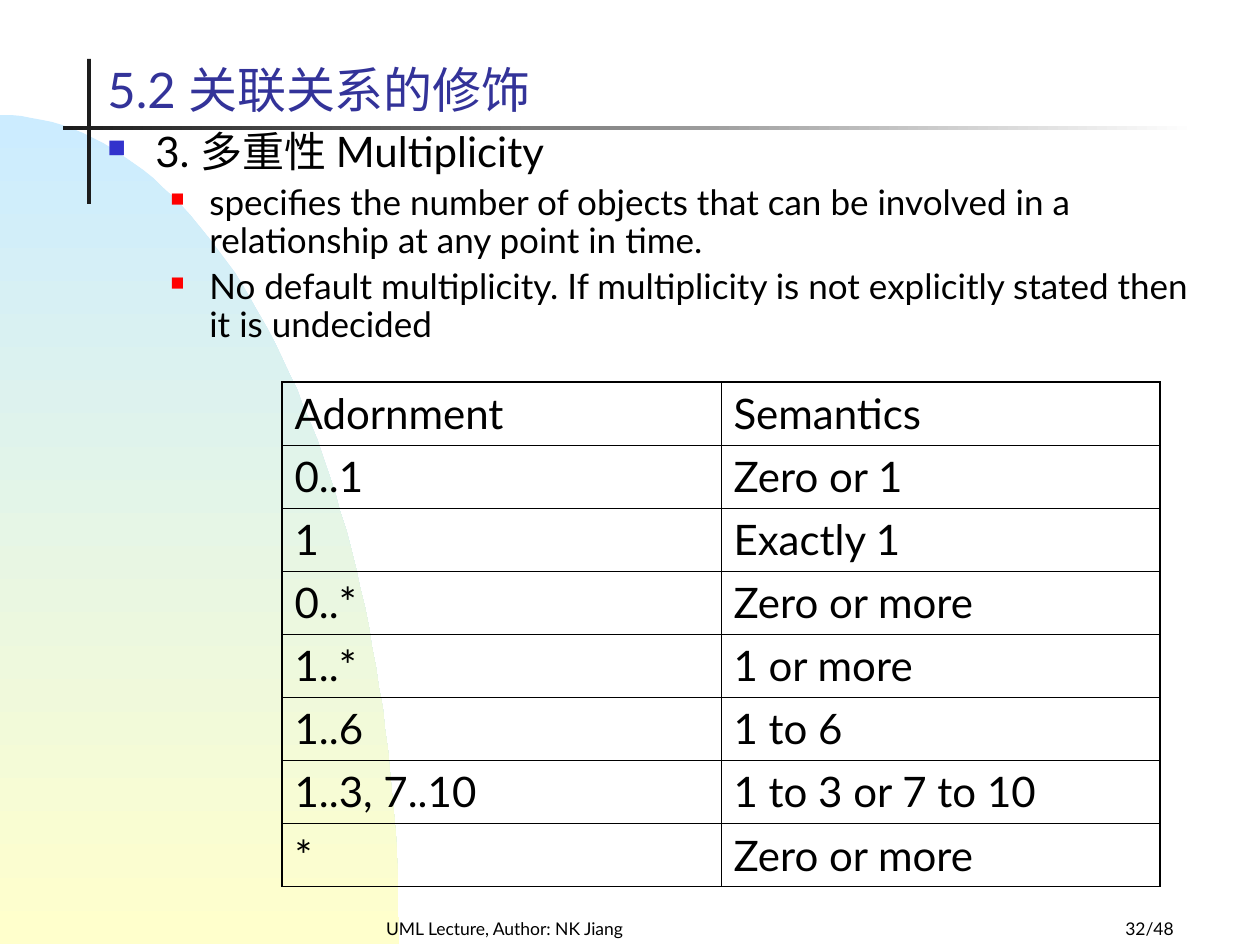
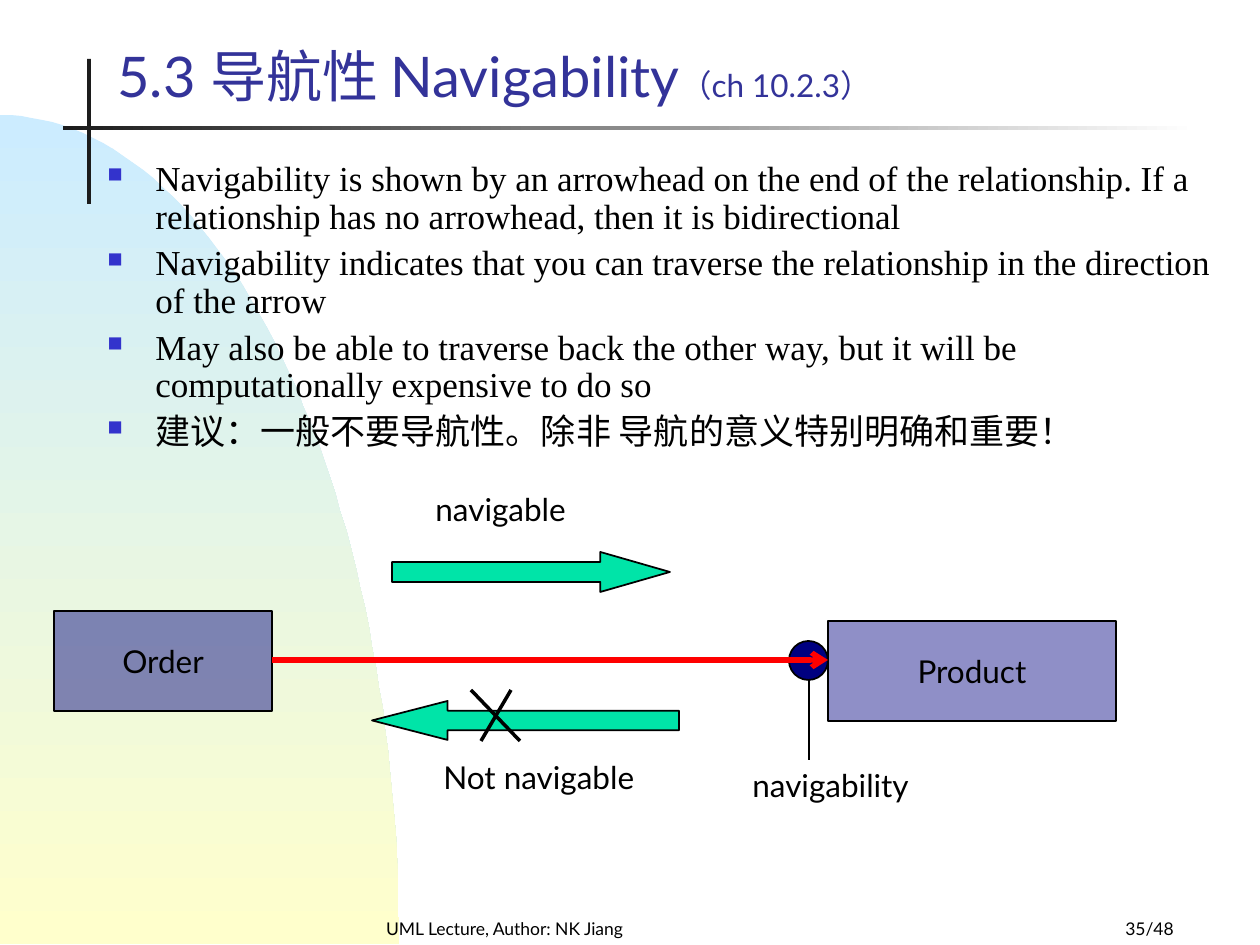
from math import cos, pi, sin

from lxml import etree
from pptx import Presentation
from pptx import util as u
from pptx.dml.color import RGBColor
from pptx.enum import shapes, text
from pptx.oxml.ns import qn

# Shared look
LATO, TIMES = "Lato", "Times New Roman"
BLACK = RGBColor(0, 0, 0)
INK = RGBColor(0x1C, 0x1C, 0x1C)
WHITE = RGBColor(255, 255, 255)
TITLE_BLUE = RGBColor(0x33, 0x33, 0x99)
BULLET_BLUE = RGBColor(0x33, 0x33, 0xCC)
RED = RGBColor(255, 0, 0)
SKY = RGBColor(0xCC, 0xEC, 0xFF)
CREAM = RGBColor(255, 255, 0xCC)
NAVY = RGBColor(0, 0, 0x80)
MINT = RGBColor(0, 0xE4, 0xA8)
SCALE = 914400 / 126
WIDTH, HEIGHT = 1260, 945
FOOTER = "UML Lecture, Author: NK Jiang"
# Outline level: left margin, hanging indent, bullet colour, bullet size in percent
LEVELS = [(48, 48, BULLET_BLUE, 60), (102, 39, RED, 55)]

# Content: multiplicity
MULTIPLICITY_TITLE = [("5.2 关联关系的修饰", 28)]
MULTIPLICITY_POINTS = [
    (0, 24, "3. 多重性 Multiplicity"),
    (1, 20, "specifies the number of objects that can be involved in a "
            "relationship at any point in time."),
    (1, 20, "No default multiplicity. If multiplicity is not explicitly stated "
            "then it is undecided"),
]
ADORNMENTS = [
    ("Adornment", "Semantics"),
    ("0..1", "Zero or 1"),
    ("1", "Exactly 1"),
    ("0..*", "Zero or more"),
    ("1..*", "1 or more"),
    ("1..6", "1 to 6"),
    ("1..3, 7..10", "1 to 3 or 7 to 10"),
    ("*", "Zero or more"),
]

# Content: navigability
NAVIGABILITY_TITLE = [("5.3 导航性 Navigability", 32), ("（ch 10.2.3）", 18)]
NAVIGABILITY_POINTS = [
    (0, 20, "Navigability is shown by an arrowhead on the end of the relationship. "
            "If a relationship has no arrowhead, then it is bidirectional"),
    (0, 20, "Navigability indicates that you can traverse the relationship in the "
            "direction of the arrow"),
    (0, 20, "May also be able to traverse back the other way, but it will be "
            "computationally expensive to do so"),
    (0, 20, "建议：一般不要导航性。除非 导航的意义特别明确和重要！"),
]
# Class name, box, opacity in percent
CLASSES = [("Order", (54, 611, 218, 100), 47), ("Product", (828, 621, 288, 100), 44)]
LABELS = [
    ("navigable", (423, 484, 169, 50)),
    ("Not navigable", (431, 752, 231, 50)),
    ("navigability", (740, 760, 218, 50)),
]
# Preset, box, head length relative to height
DIRECTIONS = [
    (shapes.MSO_SHAPE.RIGHT_ARROW, (392, 552, 278, 40), 1.74),
    (shapes.MSO_SHAPE.LEFT_ARROW, (372, 701, 307, 39), 1.94),
]
NAVIGABILITY_DOT = (789, 641, 39, 39)
# Start, end, colour, points, arrowhead
LINES = [
    ((272, 660), (828, 660), RED, 3, True),
    ((809, 680), (809, 760), BLACK, 1, False),
    ((511, 690), (481, 741), BLACK, 2, False),
    ((471, 690), (520, 741), BLACK, 2, False),
]


def px(*lengths):
    return [u.Emu(round(n * SCALE)) for n in lengths]


def add_xml(parent, tag, **attributes):
    return etree.SubElement(parent, qn(tag), attributes)


def write(frame, *runs, level=None, font=LATO, color=BLACK,
          align=text.PP_ALIGN.LEFT):
    """Add one paragraph made of (text, size) runs."""
    first = not frame.text
    paragraph = frame.paragraphs[0] if first else frame.add_paragraph()
    if level is not None:
        margin, hang, bullet_color, percent = LEVELS[level]
        props = paragraph._p.get_or_add_pPr()
        props.set("marL", str(px(margin)[0]))
        props.set("indent", str(px(-hang)[0]))
        add_xml(add_xml(props, "a:buClr"), "a:srgbClr", val=str(bullet_color))
        add_xml(props, "a:buSzPct", val=str(percent * 1000))
        add_xml(props, "a:buChar", char="■")
        paragraph.line_spacing = 0.9
        if not first:
            paragraph.space_before = u.Pt(5)
    paragraph.alignment = align
    for words, size in runs:
        run = paragraph.add_run()
        run.text = words
        run.font.name, run.font.size = font, u.Pt(size)
        run.font.color.rgb = color


def add_frame(slide, box, anchor=text.MSO_ANCHOR.TOP, wrap=True):
    frame = slide.shapes.add_textbox(*px(*box)).text_frame
    frame.word_wrap, frame.vertical_anchor = wrap, anchor
    return frame


def blend(shape, start, end, angle):
    shape.shadow.inherit = False
    shape.line.fill.background()
    shape.fill.gradient()
    shape.fill.gradient_angle = angle
    for stop, color in zip(shape.fill.gradient_stops, (start, end)):
        stop.color.rgb = color


def add_figure(slide, preset, box, color, outline=True):
    figure = slide.shapes.add_shape(preset, *px(*box))
    figure.shadow.inherit = False
    figure.fill.solid()
    figure.fill.fore_color.rgb = color
    if outline:
        figure.line.color.rgb, figure.line.width = BLACK, u.Pt(1)
    else:
        figure.line.fill.background()
    return figure


def add_line(slide, start, end, color, width, arrow):
    line = slide.shapes.add_connector(
        shapes.MSO_CONNECTOR.STRAIGHT, *px(*start, *end))
    line.line.color.rgb, line.line.width = color, u.Pt(width)
    if arrow:
        add_xml(line.line._get_or_add_ln(), "a:tailEnd", type="arrow")
    add_xml(line._element.spPr, "a:effectLst")


def add_base(deck, page):
    """Start a slide with the corner curve, title rules and footer."""
    slide = deck.slides.add_slide(deck.slide_layouts[6])
    left, top, bottom, radius, steps = 0, 115, 944, 399, 60
    curve = [(left + radius * sin(i * pi / 2 / steps),
              bottom - (bottom - top) * cos(i * pi / 2 / steps))
             for i in range(1, steps + 1)]
    corner = slide.shapes.build_freeform(left, top, scale=SCALE)
    corner.add_line_segments(curve + [(left, bottom)], close=True)
    blend(corner.convert_to_shape(), SKY, CREAM, 270)

    rectangle = shapes.MSO_SHAPE.RECTANGLE
    add_figure(slide, rectangle, (87, 59, 4, 145), INK, outline=False)
    blend(add_figure(slide, rectangle, (63, 126, 1134, 4), INK), INK, WHITE, 0)

    for words, box, align in [
            (FOOTER, (305, 903, 399, 42), text.PP_ALIGN.CENTER),
            (page, (924, 903, 262, 42), text.PP_ALIGN.RIGHT)]:
        write(add_frame(slide, box, text.MSO_ANCHOR.BOTTOM), (words, 10), align=align)
    return slide


def add_outline(slide, title, title_box, points, points_box, font):
    write(add_frame(slide, title_box, text.MSO_ANCHOR.BOTTOM), *title, color=TITLE_BLUE)
    body = add_frame(slide, points_box)
    for level, size, words in points:
        write(body, (words, size), level=level, font=font)


def add_grid(slide, rows, left, top, column_width, row_height):
    row_count, column_count = len(rows), len(rows[0])
    table = slide.shapes.add_table(row_count, column_count, *px(
        left, top, column_width * column_count, row_height * row_count)).table
    table.first_row = table.horz_banding = False
    for r, row in enumerate(rows):
        for c, words in enumerate(row):
            cell = table.cell(r, c)
            cell.fill.background()
            write(cell.text_frame, (words, 24))
            # Heavier lines on the outer edge
            outer = {"L": c == 0, "R": c == column_count - 1,
                     "T": r == 0, "B": r == row_count - 1}
            props = cell._tc.get_or_add_tcPr()
            for i, (side, heavy) in enumerate(outer.items()):
                border = add_xml(props, f"a:ln{side}",
                                 w=str(u.Pt(1.08 if heavy else 0.45)))
                add_xml(add_xml(border, "a:solidFill"), "a:srgbClr", val=str(BLACK))
                props.insert(i, border)


def build_multiplicity(deck):
    slide = add_base(deck, "32/48")
    add_outline(slide, MULTIPLICITY_TITLE, (95, 45, 735, 80),
                MULTIPLICITY_POINTS, (95, 125, 1111, 278), LATO)
    add_grid(slide, ADORNMENTS, 282, 382, 439, 63)


def build_navigability(deck):
    slide = add_base(deck, "35/48")
    add_figure(slide, shapes.MSO_SHAPE.OVAL, NAVIGABILITY_DOT, NAVY)
    add_outline(slide, NAVIGABILITY_TITLE, (105, 0, 964, 115),
                NAVIGABILITY_POINTS, (95, 155, 1137, 397), TIMES)
    for name, box, opacity in CLASSES:
        figure = add_figure(slide, shapes.MSO_SHAPE.RECTANGLE, box, NAVY)
        fill_color = figure._element.spPr.find(".//" + qn("a:srgbClr"))
        add_xml(fill_color, "a:alpha", val=str(opacity * 1000))
        figure.text_frame.word_wrap = False
        figure.text_frame.vertical_anchor = text.MSO_ANCHOR.MIDDLE
        write(figure.text_frame, (name, 18), align=text.PP_ALIGN.CENTER)
    for words, box in LABELS:
        write(add_frame(slide, box), (words, 18))
    for preset, box, head in DIRECTIONS:
        add_figure(slide, preset, box, MINT).adjustments[1] = head
    for line in LINES:
        add_line(slide, *line)


def main():
    deck = Presentation()
    deck.slide_width, deck.slide_height = px(WIDTH, HEIGHT)
    build_multiplicity(deck)
    build_navigability(deck)
    deck.save("out.pptx")


if __name__ == "__main__":
    main()
